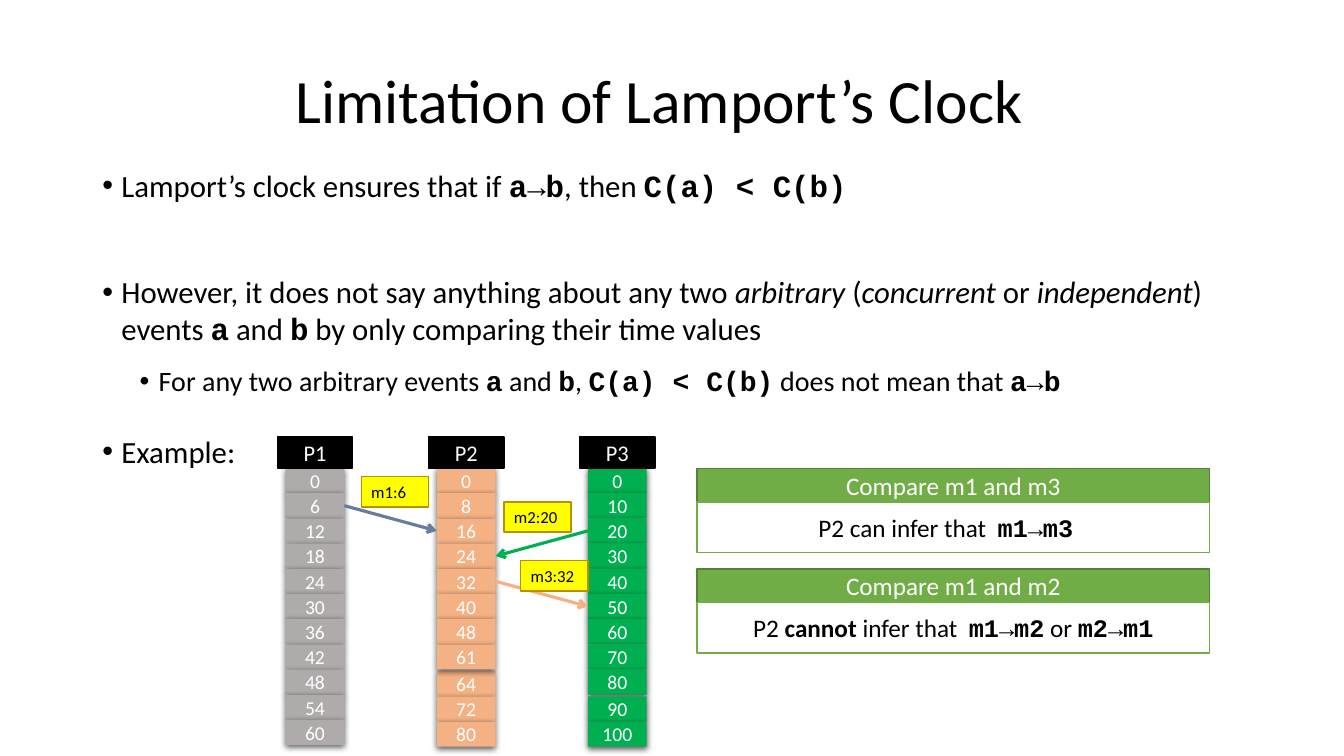
from dataclasses import dataclass

from lxml import etree
from pptx import Presentation
from pptx.dml.color import RGBColor
from pptx.enum.shapes import MSO_CONNECTOR, MSO_SHAPE
from pptx.enum.text import MSO_ANCHOR, MSO_AUTO_SIZE, PP_ALIGN
from pptx.oxml import parse_xml
from pptx.oxml.ns import nsdecls, qn
from pptx.util import Inches, Pt

RECTANGLE = MSO_SHAPE.RECTANGLE
STRAIGHT = MSO_CONNECTOR.STRAIGHT
TOP, MIDDLE = MSO_ANCHOR.TOP, MSO_ANCHOR.MIDDLE
LEFT, CENTER = PP_ALIGN.LEFT, PP_ALIGN.CENTER
GROW, FIXED = MSO_AUTO_SIZE.SHAPE_TO_FIT_TEXT, MSO_AUTO_SIZE.NONE

UNIT = 1 / 12
SLIDE_COLUMNS, SLIDE_ROWS = 160, 90
HEADER_TOP, HEADER_WIDTH, HEADER_HEIGHT = 52, 9, 3.7
CELL_TOP = HEADER_TOP + HEADER_HEIGHT
CELL_WIDTH, CELL_HEIGHT, CELL_DRIFT = 7, 3, 0.2
PROCESS_LEFT, PROCESS_STEP = 34, 18
PANEL_LEFT, PANEL_WIDTH = 83, 61


@dataclass(frozen=True)
class Theme:
    font: str = "Calibri"
    code_font: str = "Courier New"
    black: str = "000000"
    white: str = "FFFFFF"
    gray: str = "AFABAB"
    orange: str = "F4B183"
    green: str = "00B050"
    blue: str = "657D9D"
    yellow: str = "FFFF00"
    tag_line: str = "BD8E00"
    panel: str = "70AD47"
    panel_line: str = "538035"
    title: int = 44
    body: int = 22
    detail: int = 20
    panel_text: int = 18
    header: int = 16
    cell: int = 14
    tag: int = 12


@dataclass(frozen=True)
class Process:
    name: str
    color: str
    ticks: tuple
    drift_from: int
    drifted_first: bool = False


THEME = Theme()

PROCESSES = (
    Process("P1", THEME.gray, tuple(range(0, 61, 6)), 11),
    Process("P2", THEME.orange, (0, 8, 16, 24, 32, 40, 48, 61, 64, 72, 80), 8, True),
    Process("P3", THEME.green, tuple(range(0, 101, 10)), 9),
)

MESSAGES = (
    ("m1:6", 43, 56.75, (0, 1), (1, 2), THEME.blue),
    ("m2:20", 60, 59.75, (2, 2), (1, 3), THEME.green),
    ("m3:32", 62, 66.75, (1, 4), (2, 5), THEME.orange),
)

BULLETS = (
    (0, 6, ["Lamport’s clock ensures that if ", ("a→b", "code"), ", then ",
            ("C(a) < C(b)", "code")]),
    (0, 44, ["However, it does not say anything about any two ", ("arbitrary", "italic"),
             " (", ("concurrent", "italic"), " or ", ("independent", "italic"),
             ") events ", ("a", "code"), " and ", ("b", "code"),
             " by only comparing their time values"]),
    (1, 6, ["For any two arbitrary events ", ("a", "code"), " and ", ("b", "code"), ", ",
            ("C(a) < C(b)", "code"), " does not mean that ", ("a→b ", "code")]),
    (0, 19, ["Example:"]),
)

PANELS = (
    (55.75, "Compare m1 and m3", ["P2 can infer that  ", ("m1→m3 ", "code")]),
    (67.75, "Compare m1 and m2", ["P2 ", ("cannot", "bold"), " infer that  ",
                                  ("m1→m2", "code"), " or ", ("m2→m1", "code")]),
)


def grid(*lengths):
    return [Inches(length * UNIT) for length in lengths]


def write(para, spans, size, color=THEME.black, align=LEFT):
    para.alignment = align
    for item in [spans] if isinstance(spans, str) else spans:
        text, style = (item, "plain") if isinstance(item, str) else item
        span = para.add_run()
        span.text = text
        span.font.name = THEME.code_font if style == "code" else THEME.font
        span.font.size = Pt(size)
        span.font.bold = style in ("code", "bold")
        span.font.italic = style == "italic"
        span.font.color.rgb = RGBColor.from_string(color)


def add_shadow(box):
    box._element.spPr.append(parse_xml(
        f'<a:effectLst {nsdecls("a")}>'
        '<a:outerShdw blurRad="57150" dist="19050" dir="5400000" algn="ctr" rotWithShape="0">'
        '<a:srgbClr val="000000"><a:alpha val="63000"/></a:srgbClr>'
        '</a:outerShdw></a:effectLst>'))


def add_box(page, place, spans, size, fill, line=None, color=THEME.white,
            align=CENTER, anchor=MIDDLE, fit=FIXED, shadow=False):
    box = page.shapes.add_shape(RECTANGLE, *grid(*place))
    if shadow:
        add_shadow(box)
    else:
        box.shadow.inherit = False
    box.fill.solid()
    box.fill.fore_color.rgb = RGBColor.from_string(fill)
    if line:
        box.line.color.rgb = RGBColor.from_string(line)
        box.line.width = Pt(1)
    else:
        box.line.fill.background()
    frame = box.text_frame
    frame.word_wrap, frame.auto_size, frame.vertical_anchor = True, fit, anchor
    write(frame.paragraphs[0], spans, size, color, align)


def add_arrow(page, start, end, color):
    arrow = page.shapes.add_connector(STRAIGHT, *grid(*start, *end))
    arrow.line.color.rgb = RGBColor.from_string(color)
    arrow.line.width = Pt(2.25)
    etree.SubElement(arrow.line._get_or_add_ln(), qn("a:tailEnd"), type="arrow")
    etree.SubElement(arrow._element.spPr, qn("a:effectLst"))


def add_title(page, text):
    title = page.shapes.title
    title.left, title.top, title.width, title.height = grid(23, 3.6, 111, 17.4)
    title.text_frame.vertical_anchor = MIDDLE
    para = title.text_frame.paragraphs[0]
    para.line_spacing = 0.9
    write(para, text, THEME.title, align=CENTER)


def add_bullets(page):
    frame = page.shapes.add_textbox(*grid(11, 19.2, 136, 59.4)).text_frame
    frame.word_wrap = True
    for index, (level, before, spans) in enumerate(BULLETS):
        para = frame.add_paragraph() if index else frame.paragraphs[0]
        para.level = level
        para.space_before, para.space_after = Pt(before), Pt(6)
        properties = para._p.get_or_add_pPr()
        properties.set("marL", str(Inches(0.19 + 0.37 * level)))
        properties.set("indent", str(Inches(-0.19)))
        etree.SubElement(properties, qn("a:buFont"), typeface="Arial")
        etree.SubElement(properties, qn("a:buChar"), char="•")
        write(para, spans, THEME.detail if level else THEME.body)


def add_process(page, index, process):
    left = PROCESS_LEFT + index * PROCESS_STEP
    rows = list(range(len(process.ticks)))
    if process.drifted_first:
        rows = rows[process.drift_from:] + rows[:process.drift_from]
    for row in rows:
        drift = CELL_DRIFT if row >= process.drift_from else 0
        top = CELL_TOP + row * CELL_HEIGHT + drift
        add_box(page, (left, top, CELL_WIDTH, CELL_HEIGHT), str(process.ticks[row]),
                THEME.cell, process.color, shadow=True)
    add_box(page, (left - 1, HEADER_TOP, HEADER_WIDTH, HEADER_HEIGHT), process.name,
            THEME.header, THEME.black, THEME.black)


def cell_edge(cell, toward):
    process, row = cell
    side = CELL_WIDTH if toward[0] > process else 0
    return (PROCESS_LEFT + process * PROCESS_STEP + side,
            CELL_TOP + (row + 0.5) * CELL_HEIGHT)


def add_panel(page, top, heading, spans):
    add_box(page, (PANEL_LEFT, top, PANEL_WIDTH, 4), heading, THEME.panel_text,
            THEME.panel, THEME.panel_line)
    add_box(page, (PANEL_LEFT, top + 4, PANEL_WIDTH, 6), spans, THEME.panel_text,
            THEME.white, THEME.panel, THEME.black)


def main():
    deck = Presentation()
    deck.slide_width, deck.slide_height = grid(SLIDE_COLUMNS, SLIDE_ROWS)
    page = deck.slides.add_slide(deck.slide_layouts.get_by_name("Title Only"))
    add_title(page, "Limitation of Lamport’s Clock")
    add_bullets(page)
    for index, process in enumerate(PROCESSES):
        add_process(page, index, process)
    for _, _, _, sender, receiver, color in MESSAGES:
        add_arrow(page, cell_edge(sender, receiver), cell_edge(receiver, sender), color)
    for label, left, top, _, _, _ in MESSAGES:
        add_box(page, (left, top, 8, 3.6), label, THEME.tag, THEME.yellow, THEME.tag_line,
                THEME.black, LEFT, TOP, GROW)
    for panel in PANELS:
        add_panel(page, *panel)
    deck.save("out.pptx")


main()
